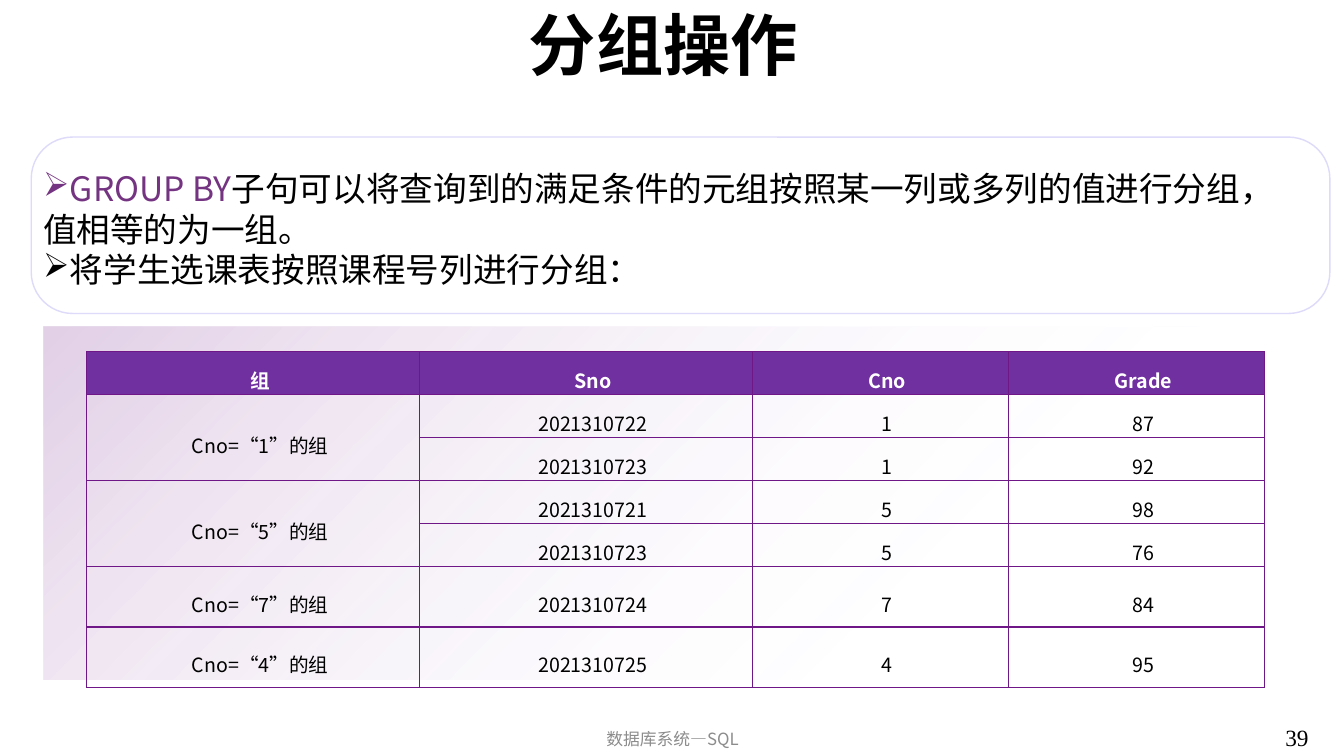
from dataclasses import dataclass

from pptx import Presentation, util as u
from pptx.dml.color import RGBColor
from pptx.enum import shapes, text
from pptx.oxml import parse_xml
from pptx.oxml.ns import nsdecls, qn

# Content
TITLE = "分组操作"
POINTS = [
    [("GROUP BY", "keyword"),
     ("子句可以将查询到的满足条件的元组按照某一列或多列的值进行分组，值相等的为一组。", "ink")],
    [("将学生选课表按照课程号列进行分组：", "ink")],
]
HEADER = ("组", "Sno", "Cno", "Grade")
GROUPS = {
    "1": [("2021310722", "87"), ("2021310723", "92")],
    "5": [("2021310721", "98"), ("2021310723", "76")],
    "7": [("2021310724", "84")],
    "4": [("2021310725", "95")],
}
FOOTER = "数据库系统—SQL"
PAGE_NUMBER = "39"


@dataclass(frozen=True)
class Theme:
    ink: str = "000000"
    paper: str = "FFFFFF"
    keyword: str = "743481"
    purple: str = "6F1787"
    header: str = "7030A0"
    frame: str = "DDDAFA"
    muted: str = "8C8C8C"
    sans: str = "Noto Sans CJK SC"
    serif: str = "Times New Roman"
    bullet_face: str = "Wingdings"
    bullet: str = "Ø"  # the arrowhead in the bullet face
    title_size: float = 48
    body_size: float = 24
    table_size: float = 14
    footer_size: float = 12
    number_size: float = 16.6


THEME = Theme()
CENTER = text.PP_ALIGN.CENTER
MIDDLE = text.MSO_ANCHOR.MIDDLE

# Layout in inches
SLIDE_W, SLIDE_H = 13.33, 7.5
TITLE_BOX = (1.06, 0.06, 11.04, 0.74)
FRAME_BOX = (0.31, 1.36, 12.88, 1.75)
POINTS_BOX = (0.33, 1.62, 12.53, 1.4)
FOOTER_BOX = (4.42, 7.16, 4.5, 0.34)
NUMBER_BOX = (12.65, 7.13, 0.84, 0.52)
BACKDROP = [(0.43, 3.24), (13.68, 3.24), (13.05, 6.74), (0.43, 6.74)]
TABLE_LEFT, TABLE_TOP = 0.86, 3.49
COLUMNS = (3.3, 3.3, 2.54, 2.54)
SHORT_ROW, TALL_ROW = 0.426, 0.6


def inches(box):
    return [u.Inches(value) for value in box]


def style(target, **formats):
    for name, value in formats.items():
        setattr(target, name, value)


def add_run(paragraph, words, size, color, bold=False, face=THEME.sans):
    run = paragraph.add_run()
    run.text = words
    style(run.font, size=u.Pt(size), bold=bold, name=face)
    run.font.color.rgb = RGBColor.from_string(color)
    run.font._element.append(parse_xml(f'<a:ea {nsdecls("a")} typeface="{face}"/>'))


def add_text_box(slide, box, **formats):
    frame = slide.shapes.add_textbox(*inches(box)).text_frame
    style(frame, word_wrap=True, **formats)
    return frame


def add_backdrop(slide):
    start, *corners = [tuple(inches(point)) for point in BACKDROP]
    builder = slide.shapes.build_freeform(*start)
    builder.add_line_segments(corners, close=True)
    backdrop = builder.convert_to_shape()
    backdrop.shadow.inherit = False
    backdrop.line.fill.background()
    stops = "".join(
        f'<a:gs pos="{pos * 1000}"><a:srgbClr val="{color}">'
        f'<a:alpha val="{alpha * 1000}"/></a:srgbClr></a:gs>'
        for pos, color, alpha in [(28, THEME.paper, 0), (99, THEME.purple, 20)])
    gradient = parse_xml(f'<a:gradFill {nsdecls("a")} rotWithShape="1"><a:gsLst>{stops}'
                         f'</a:gsLst><a:lin ang="{225 * 60000}" scaled="0"/></a:gradFill>')
    backdrop._element.spPr.find(qn("a:custGeom")).addnext(gradient)


def add_points(slide):
    # Rounded frame
    panel = slide.shapes.add_shape(shapes.MSO_SHAPE.ROUNDED_RECTANGLE, *inches(FRAME_BOX))
    panel.adjustments[0] = 0.235
    panel.shadow.inherit = False
    panel.fill.solid()
    panel.fill.fore_color.rgb = RGBColor.from_string(THEME.paper)
    panel.line.color.rgb = RGBColor.from_string(THEME.frame)
    panel.line.width = u.Pt(1)

    # Bulleted text
    frame = add_text_box(slide, POINTS_BOX)
    for index, runs in enumerate(POINTS):
        paragraph = frame.add_paragraph() if index else frame.paragraphs[0]
        properties = paragraph._p.get_or_add_pPr()
        properties.set("marL", "0")
        properties.set("indent", "0")
        for tag, name, value in [("buFont", "typeface", THEME.bullet_face),
                                 ("buChar", "char", THEME.bullet)]:
            properties.append(parse_xml(f'<a:{tag} {nsdecls("a")} {name}="{value}"/>'))
        for words, color in runs:
            add_run(paragraph, words, THEME.body_size, getattr(THEME, color))


def format_cell(cell, words, is_header):
    style(cell, vertical_anchor=MIDDLE, margin_left=u.Inches(0.07),
          margin_right=u.Inches(0.07), margin_top=0, margin_bottom=0)
    for side in "LRTB":
        cell._tc.get_or_add_tcPr().append(parse_xml(
            f'<a:ln{side} {nsdecls("a")} w="12700"><a:solidFill>'
            f'<a:srgbClr val="{THEME.purple}"/></a:solidFill></a:ln{side}>'))
    if is_header:
        cell.fill.solid()
        cell.fill.fore_color.rgb = RGBColor.from_string(THEME.header)
    else:
        cell.fill.background()
    paragraph = cell.text_frame.paragraphs[0]
    style(paragraph, alignment=CENTER, line_spacing=1.5)
    paragraph._p.get_or_add_pPr().set("indent", str(u.Inches(0.14)))
    if words:
        add_run(paragraph, words, THEME.table_size,
                THEME.paper if is_header else THEME.ink, is_header)


def add_groups_table(slide):
    # One row per student; the group label fills only the first row of its group
    rows, heights, merges = [HEADER], [SHORT_ROW], []
    for course, students in GROUPS.items():
        merges.append((len(rows), len(rows) + len(students) - 1))
        for index, (student, grade) in enumerate(students):
            label = "" if index else f"Cno=“{course}”的组"
            rows.append((label, student, course, grade))
            heights.append(SHORT_ROW if len(students) > 1 else TALL_ROW)

    box = (TABLE_LEFT, TABLE_TOP, sum(COLUMNS), sum(heights))
    table = slide.shapes.add_table(len(rows), len(COLUMNS), *inches(box)).table
    style(table, first_row=False, horz_banding=False)
    for column, width in zip(table.columns, COLUMNS):
        column.width = u.Inches(width)
    for row, height in zip(table.rows, heights):
        row.height = u.Inches(height)
    for r, row in enumerate(rows):
        for c, words in enumerate(row):
            format_cell(table.cell(r, c), words, r == 0)
    for first, last in merges:
        if last > first:
            table.cell(first, 0).merge(table.cell(last, 0))


def add_line(slide, box, words, size, color, align=None, anchor=None, **font):
    frame = add_text_box(slide, box, vertical_anchor=anchor)
    frame.paragraphs[0].alignment = align
    add_run(frame.paragraphs[0], words, size, color, **font)


def main():
    deck = Presentation()
    style(deck, slide_width=u.Inches(SLIDE_W), slide_height=u.Inches(SLIDE_H))
    slide = deck.slides.add_slide(deck.slide_layouts[6])
    add_backdrop(slide)
    add_line(slide, TITLE_BOX, TITLE, THEME.title_size, THEME.ink, CENTER, MIDDLE, bold=True)
    add_points(slide)
    add_groups_table(slide)
    add_line(slide, FOOTER_BOX, FOOTER, THEME.footer_size, THEME.muted, CENTER, MIDDLE)
    add_line(slide, NUMBER_BOX, PAGE_NUMBER, THEME.number_size, THEME.ink, face=THEME.serif)
    deck.save("out.pptx")


if __name__ == "__main__":
    main()
